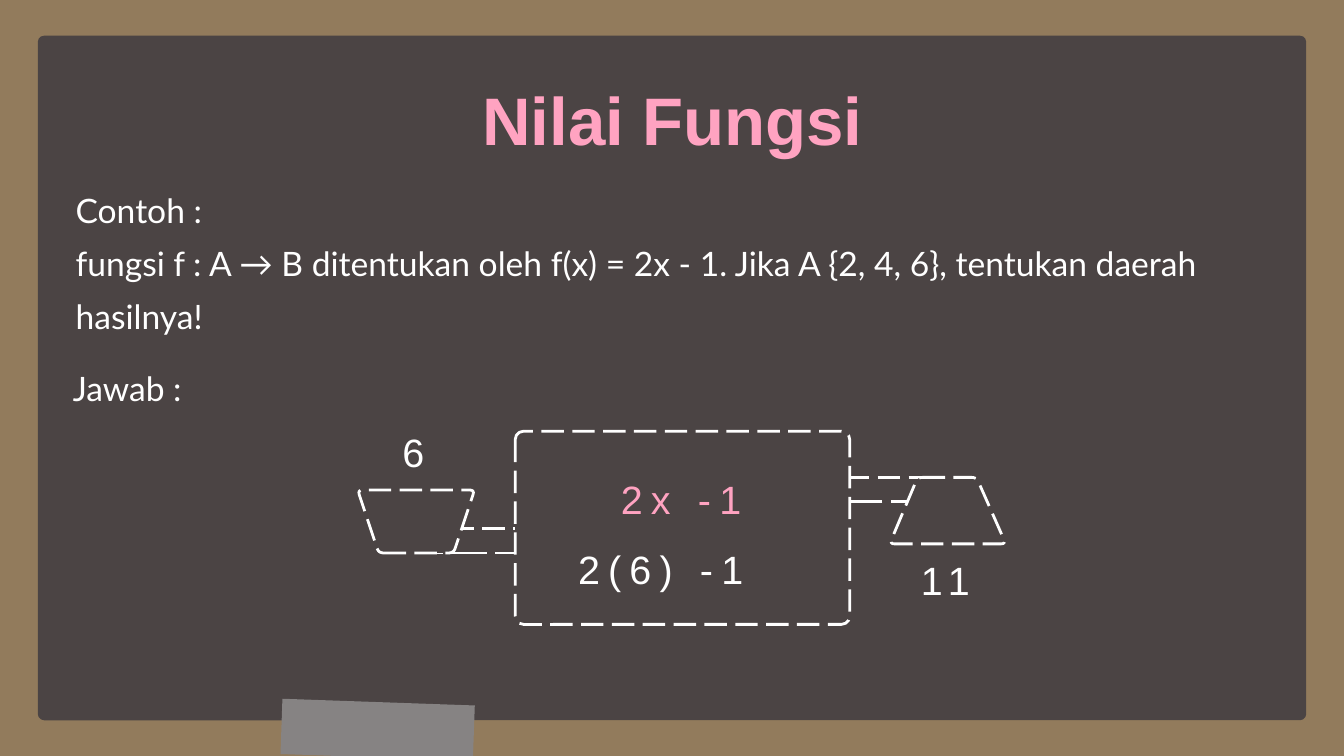
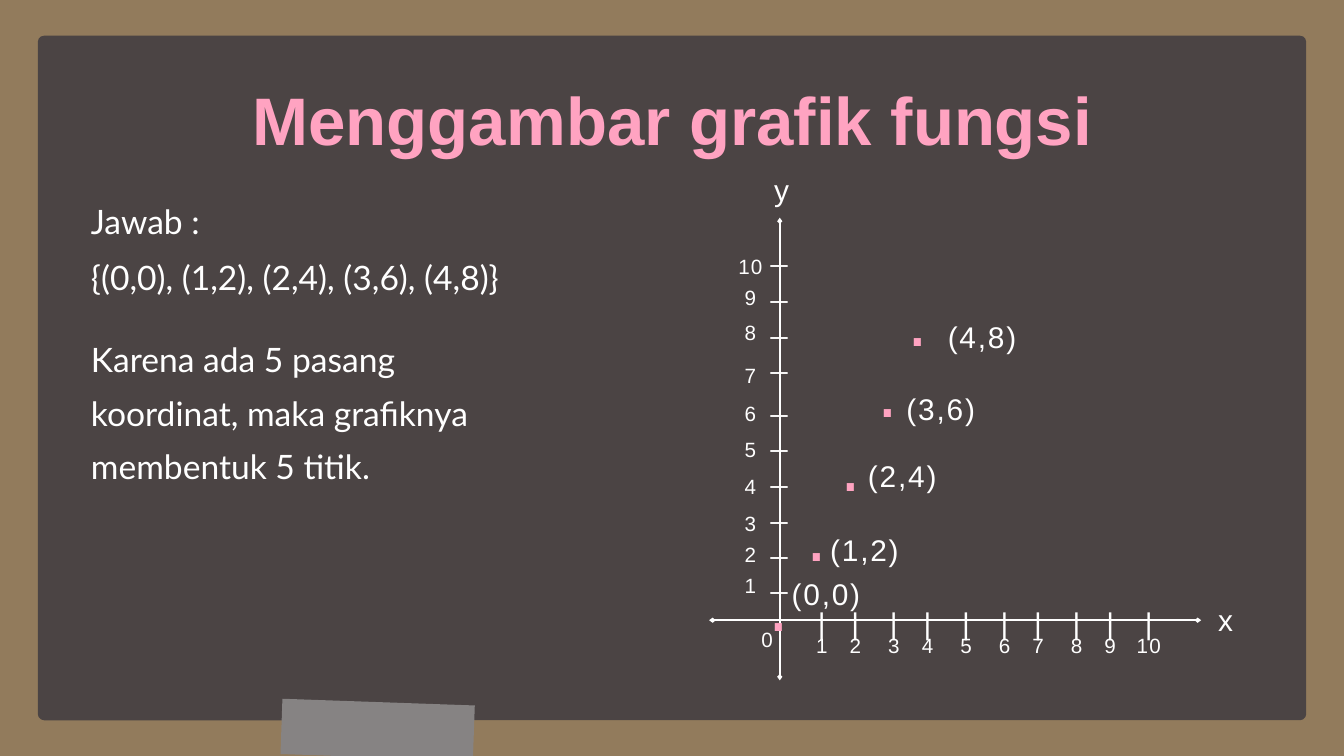
from math import hypot

from lxml.etree import SubElement
from pptx import Presentation
from pptx.dml.color import RGBColor
from pptx.enum.dml import MSO_LINE
from pptx.enum.shapes import MSO_CONNECTOR, MSO_SHAPE
from pptx.enum.text import MSO_AUTO_SIZE, PP_ALIGN
from pptx.oxml.ns import qn
from pptx.util import Pt

PX = 9525  # EMU per px, slide is 1920 x 1080 px

WOOD, BOARD, TAPE = "927B5C", "4B4444", "868383"
WHITE, PINK = "FFFFFF", "FFA3C1"
LEFT, CENTER, JUSTIFY = PP_ALIGN.LEFT, PP_ALIGN.CENTER, PP_ALIGN.JUSTIFY

# Text styles: font values, colour, paragraph values, letter spacing, line height in px
STYLES = {
    "title": dict(font=dict(name="Arial", size=Pt(72), bold=True), color=PINK,
                  align=CENTER, leading=100.8, spacing=0, height=130),
    "body": dict(font=dict(name="Lato", size=Pt(36)), color=WHITE,
                 align=LEFT, leading=57.2, spacing=0, height=72),
    "formula": dict(font=dict(name="Arial", size=Pt(42.3)), color=WHITE,
                    align=CENTER, leading=59.2, spacing=8.8, height=78),
    "mark": dict(font=dict(name="Arial", size=Pt(32)), color=WHITE,
                 align=CENTER, leading=43.2, spacing=1.9, height=57),
    "number": dict(font=dict(name="Arial", size=Pt(22.1)), color=WHITE,
                   align=CENTER, leading=29.8, spacing=1.3, height=39),
    "point": dict(font=dict(name="Arial", size=Pt(79.6)), color=PINK,
                  align=LEFT, leading=77.2, spacing=0, height=109),
}


def rgb(color):
    return RGBColor.from_string(color)


def px(*lengths):
    return [round(n * PX) for n in lengths]


def rounded(corners, cut, steps=4):
    """Return the outline through corners, each one rounded over the length cut."""
    points = []
    for i, (x, y) in enumerate(corners):
        ends = []
        for nx, ny in (corners[i - 1], corners[(i + 1) % len(corners)]):
            t = cut / hypot(nx - x, ny - y)
            ends.append((x + (nx - x) * t, y + (ny - y) * t))
        (ax, ay), (bx, by) = ends
        for step in range(steps + 1):
            t = step / steps
            a, c, b = (1 - t) ** 2, 2 * t * (1 - t), t * t
            points.append((a * ax + c * x + b * bx, a * ay + c * y + b * by))
    return points


class Deck:
    def __init__(self):
        self.prs = Presentation()
        self.prs.slide_width, self.prs.slide_height = px(1920, 1080)
        self.s = None

    def slide(self, title):
        self.s = self.prs.slides.add_slide(self.prs.slide_layouts[6])
        fill = self.s.background.fill
        fill.solid()
        fill.fore_color.rgb = rgb(WOOD)
        self.box(54, 51, 1812, 978, radius=9)
        self.box(402, 1003, 275, 79, fill=TAPE).rotation = 2
        self.text("title", title, 248, 93, 1426)

    def paint(self, sp, fill, dashed):
        sp.shadow.inherit = False
        sp.fill.solid()
        sp.fill.fore_color.rgb = rgb(fill)
        if dashed:
            sp.line.color.rgb = rgb(WHITE)
            sp.line.width = Pt(3)
            sp.line.dash_style = MSO_LINE.LONG_DASH
        else:
            sp.line.fill.background()
        return sp

    def box(self, x, y, w, h, radius=0, fill=BOARD, dashed=False):
        kind = MSO_SHAPE.ROUNDED_RECTANGLE if radius else MSO_SHAPE.RECTANGLE
        sp = self.s.shapes.add_shape(kind, *px(x, y, w, h))
        if radius:
            sp.adjustments[0] = radius / min(w, h)
        return self.paint(sp, fill, dashed)

    def funnel(self, corners):
        points = [px(*point) for point in rounded(corners, 7)]
        builder = self.s.shapes.build_freeform(*points[-1])
        builder.add_line_segments(points[:-1], close=True)
        return self.paint(builder.convert_to_shape(), BOARD, True)

    def text(self, style, text, x, y, w, lines=1, **changes):
        style = {**STYLES[style], **changes}
        sp = self.s.shapes.add_textbox(*px(x, y, w, style["height"] * lines))
        tf = sp.text_frame
        frame = dict(word_wrap=True, auto_size=MSO_AUTO_SIZE.SHAPE_TO_FIT_TEXT,
                     margin_left=0, margin_top=0, margin_right=0, margin_bottom=0)
        for key, value in frame.items():
            setattr(tf, key, value)
        for i, line in enumerate(text.split("\n")):
            p = tf.add_paragraph() if i else tf.paragraphs[0]
            p.alignment = style["align"]
            p.line_spacing = Pt(style["leading"])
            r = p.add_run()
            r.text = line
            for key, value in style["font"].items():
                setattr(r.font, key, value)
            r.font.color.rgb = rgb(style["color"])
            if style["spacing"]:
                r._r.get_or_add_rPr().set("spc", str(round(style["spacing"] * 100)))

    def axis(self, x1, y1, x2, y2):
        cxn = self.s.shapes.add_connector(MSO_CONNECTOR.STRAIGHT, *px(x1, y1, x2, y2))
        cxn.line.color.rgb = rgb(WHITE)
        cxn.line.width = Pt(2.25)
        ln = cxn.line._get_or_add_ln()
        for end in ("a:headEnd", "a:tailEnd"):
            SubElement(ln, qn(end), type="arrow", w="sm", len="sm")
        SubElement(cxn._element.spPr, qn("a:effectLst"))


def function_value(deck):
    deck.slide("Nilai Fungsi")
    deck.text("body", "Contoh :\nfungsi f : A → B ditentukan oleh f(x) = 2x - 1. "
              "Jika A {2, 4, 6}, tentukan daerah hasilnya!", 108, 252, 1704, lines=3)
    deck.text("body", "Jawab :", 104, 507, 265)

    # Function machine: input funnel, body, output funnel
    deck.box(590, 755, 173, 35, dashed=True)
    deck.funnel([(648, 790), (678, 700), (511, 700), (541, 790)])
    deck.box(1155, 682, 173, 35, dashed=True)
    deck.box(736, 616, 478, 276, radius=12, dashed=True)
    deck.funnel([(1395, 682), (1437, 777), (1271, 777), (1311, 682)])

    deck.text("formula", "6", 483, 600, 215)
    deck.text("formula", "2x -1", 828, 667, 290, color=PINK)
    deck.text("formula", "2(6) -1", 798, 767, 292)
    deck.text("formula", "11", 1263, 783, 175)


def function_graph(deck):
    deck.slide("Menggambar grafik fungsi")
    deck.text("body", "Jawab :", 130, 269, 549, align=JUSTIFY)
    deck.text("body", "{(0,0), (1,2), (2,4), (3,6), (4,8)}", 130, 348, 776)
    deck.text("body", "Karena ada 5 pasang koordinat, maka grafiknya membentuk 5 titik.",
              130, 466, 606, lines=3)

    # Axes
    deck.axis(1013, 886, 1716, 886)
    deck.axis(1114, 311, 1114, 972)
    deck.text("mark", "y", 1084, 239, 65)
    deck.text("mark", "x", 1716, 853, 70)
    deck.text("number", "0", 1072, 891, 48)

    # Ticks and numbers from 1 to 10
    x_ticks = [1150, 1198, 1253, 1301, 1356, 1411, 1459, 1514, 1562, 1617]
    y_ticks = [791, 742, 691, 640, 589, 539, 478, 428, 376, 324]
    y_numbers = [814, 770, 726, 673, 620, 569, 514, 453, 402, 358]
    for n, x in enumerate(x_ticks, 1):
        deck.text("mark", "|", x, 857, 48)
        deck.text("number", str(n), x, 900, 48)
    for n, (tick, number) in enumerate(zip(y_ticks, y_numbers), 1):
        deck.text("mark", "_", 1089, tick, 48)
        deck.text("number", str(n), 1048, number, 48)

    # Points of y = 2x: place of the dot, place of its label
    places = [(1098, 821, 1125, 816), (1152, 720, 1180, 753), (1200, 620, 1234, 648),
              (1253, 515, 1289, 552), (1296, 414, 1348, 449)]
    for n, (dot_x, dot_y, label_x, label_y) in enumerate(places):
        deck.text("point", ".", dot_x, dot_y, 76)
        deck.text("mark", f"({n},{2 * n})", label_x, label_y, 110)


def main():
    deck = Deck()
    function_value(deck)
    function_graph(deck)
    deck.prs.save("out.pptx")


if __name__ == "__main__":
    main()
